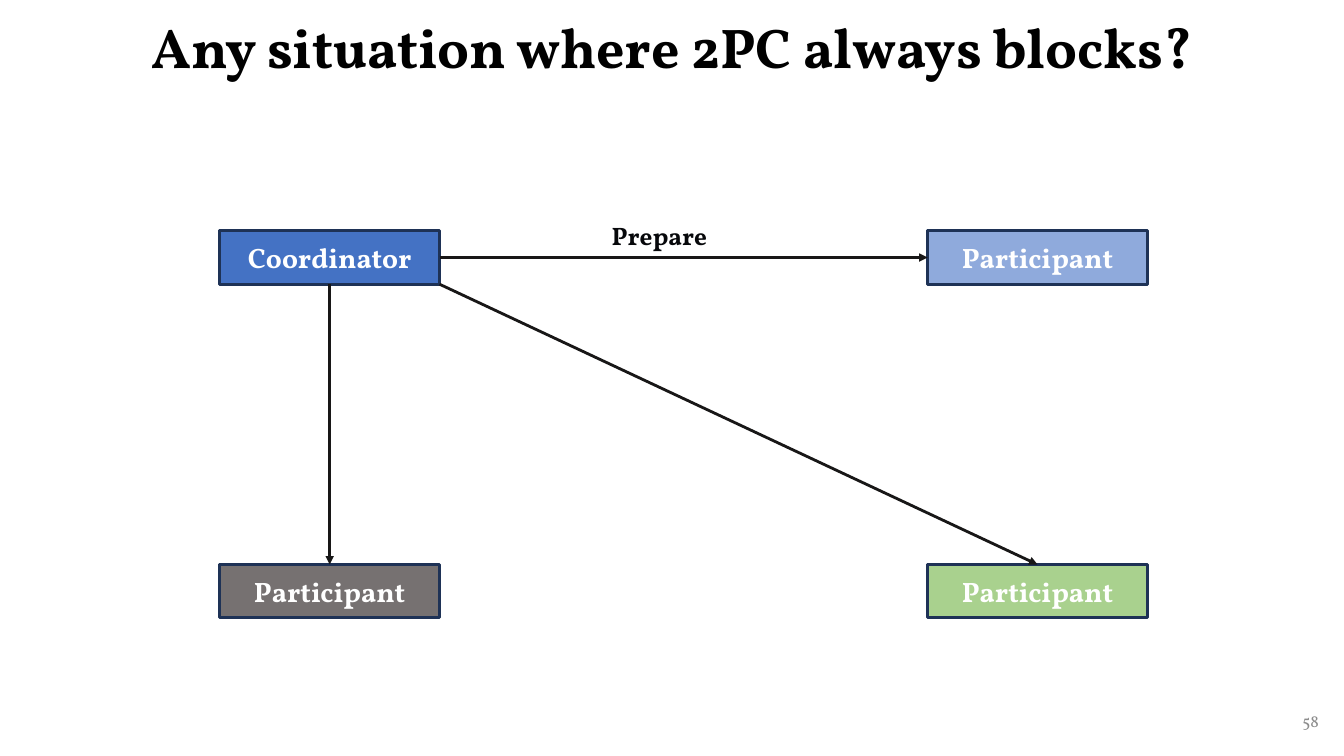
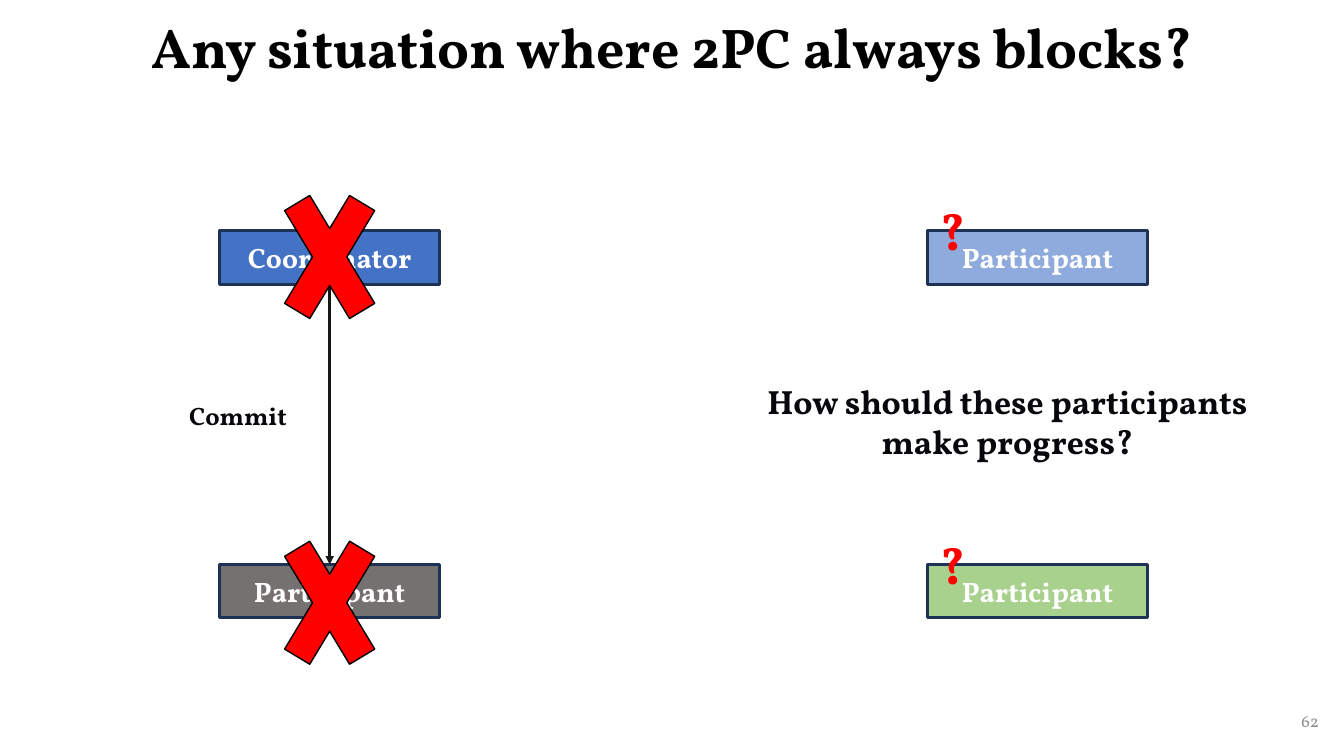
from dataclasses import dataclass
from enum import Enum
from typing import NamedTuple

from lxml.etree import SubElement
from pptx import Presentation
from pptx.dml.color import RGBColor
from pptx.enum.shapes import MSO_CONNECTOR, MSO_SHAPE
from pptx.enum.text import MSO_ANCHOR, MSO_AUTO_SIZE, PP_ALIGN
from pptx.oxml.ns import qn
from pptx.util import Inches, Pt


class TextStyle(NamedTuple):
    size: int
    color: str
    bold: bool = True


@dataclass(frozen=True)
class Theme:
    font: str = "Vollkorn"
    title: TextStyle = TextStyle(40, "000000")
    page_number: TextStyle = TextStyle(12, "8C8C8C", bold=False)
    node: TextStyle = TextStyle(20, "FFFFFF")
    message: TextStyle = TextStyle(18, "07080B")
    question: TextStyle = TextStyle(24, "07080B")
    doubt: TextStyle = TextStyle(36, "FF0000")
    node_border: str = "1E3256"
    arrow: str = "181717"
    failure: str = "FF0000"
    failure_border: str = "000000"
    line_width: int = 2


class Box(NamedTuple):
    left: float
    top: float
    width: float
    height: float

    def emu(self) -> list[int]:
        return [Inches(length) for length in self]


class Side(Enum):
    """Point on a node, as shares of its width and height."""
    TOP = (0.5, 0)
    LEFT = (0, 0.5)
    BOTTOM = (0.5, 1)
    RIGHT = (1, 0.5)
    BOTTOM_RIGHT = (1, 1)


class Node(NamedTuple):
    text: str
    fill: str
    column: int
    row: int

    def box(self) -> Box:
        return Box(GRID_LEFT + self.column * COLUMN_STEP,
                   GRID_TOP + self.row * ROW_STEP, NODE_WIDTH, NODE_HEIGHT)

    def point(self, side: Side) -> tuple[int, int]:
        box = self.box()
        across, down = side.value
        return (Inches(box.left + across * box.width),
                Inches(box.top + down * box.height))


class Arrow(NamedTuple):
    source: Node
    exit: Side
    target: Node
    entry: Side


class Label(NamedTuple):
    text: str
    box: Box
    style: TextStyle


class Scene(NamedTuple):
    page: int
    arrows: list[Arrow]
    labels: list[Label]
    failures: list[Box]


THEME = Theme()
SLIDE_WIDTH, SLIDE_HEIGHT = 13.33, 7.5
GRID_LEFT, GRID_TOP = 2.18, 2.29
COLUMN_STEP, ROW_STEP = 7.02, 3.31
NODE_WIDTH, NODE_HEIGHT = 2.18, 0.53
LABEL_WIDTH = 2.34
TITLE = "Any situation where 2PC always blocks?"
TITLE_BOX = Box(0.92, 0, 11.5, 0.99)
PAGE_BOX = Box(10.18, 6.95, 3, 0.4)

COORDINATOR = Node("Coordinator", "4472C4", 0, 0)
BLUE = Node("Participant", "8FAADC", 1, 0)
GRAY = Node("Participant", "767171", 0, 1)
GREEN = Node("Participant", "A9D18E", 1, 1)
NODES = [COORDINATOR, BLUE, GRAY, GREEN]

DOWN = Arrow(COORDINATOR, Side.BOTTOM, GRAY, Side.TOP)
DIAGONAL = Arrow(COORDINATOR, Side.BOTTOM_RIGHT, GREEN, Side.TOP)
ACROSS = Arrow(COORDINATOR, Side.RIGHT, BLUE, Side.LEFT)


def doubt_over(node: Node) -> Label:
    box = node.box()
    return Label("?", Box(box.left - 0.93, box.top - 0.35, LABEL_WIDTH, 0.71),
                 THEME.doubt)


SCENES = [
    Scene(58, [DOWN, DIAGONAL, ACROSS],
          [Label("Prepare", Box(5.37, 2.14, LABEL_WIDTH, 0.4), THEME.message)],
          []),
    Scene(62, [DOWN],
          [Label("Commit", Box(1.19, 3.92, LABEL_WIDTH, 0.4), THEME.message),
           doubt_over(BLUE), doubt_over(GREEN),
           Label("How should these participants make progress?",
                 Box(7.45, 3.73, 5.08, 0.91), THEME.question)],
          [Box(2.65, top, 1.24, 2.06) for top in (1.52, 4.95)]),
]


def write(shape, text: str, style: TextStyle, align=PP_ALIGN.CENTER,
          anchor=MSO_ANCHOR.MIDDLE, spacing: float = 1.0) -> None:
    frame = shape.text_frame
    frame.text = text
    paragraph = frame.paragraphs[0]
    font = paragraph.runs[0].font
    formats = {
        frame: {"word_wrap": True, "auto_size": MSO_AUTO_SIZE.NONE,
                "vertical_anchor": anchor},
        paragraph: {"alignment": align, "line_spacing": spacing},
        font: {"name": THEME.font, "size": Pt(style.size), "bold": style.bold},
    }
    for target, values in formats.items():
        for name, value in values.items():
            setattr(target, name, value)
    font.color.rgb = RGBColor.from_string(style.color)


def add_title(slide) -> None:
    title = slide.shapes.title
    title.left, title.top, title.width, title.height = TITLE_BOX.emu()
    write(title, TITLE, THEME.title, spacing=0.9)


def add_page_number(slide, page: int) -> None:
    write(slide.shapes.add_textbox(*PAGE_BOX.emu()), str(page),
          THEME.page_number, align=PP_ALIGN.RIGHT)


def add_figure(slide, kind, box: Box, fill: str, border: str, width: int):
    figure = slide.shapes.add_shape(kind, *box.emu())
    figure.shadow.inherit = False
    figure.fill.solid()
    figure.fill.fore_color.rgb = RGBColor.from_string(fill)
    figure.line.color.rgb = RGBColor.from_string(border)
    figure.line.width = Pt(width)
    return figure


def add_node(slide, node: Node) -> None:
    figure = add_figure(slide, MSO_SHAPE.RECTANGLE, node.box(), node.fill,
                        THEME.node_border, THEME.line_width)
    write(figure, node.text, THEME.node)


def add_arrow(slide, arrow: Arrow) -> None:
    connector = slide.shapes.add_connector(
        MSO_CONNECTOR.STRAIGHT, *arrow.source.point(arrow.exit),
        *arrow.target.point(arrow.entry))
    connector.line.color.rgb = RGBColor.from_string(THEME.arrow)
    connector.line.width = Pt(THEME.line_width)
    properties = connector.line._get_or_add_ln()
    SubElement(properties, qn("a:tailEnd"), type="triangle")
    SubElement(properties.getparent(), qn("a:effectLst"))


def add_label(slide, label: Label) -> None:
    write(slide.shapes.add_textbox(*label.box.emu()), label.text, label.style,
          anchor=MSO_ANCHOR.TOP)


def add_scene(deck, scene: Scene) -> None:
    slide = deck.slides.add_slide(deck.slide_layouts.get_by_name("Title Only"))
    add_title(slide)
    add_page_number(slide, scene.page)
    for node in NODES:
        add_node(slide, node)
    for arrow in scene.arrows:
        add_arrow(slide, arrow)
    for box in scene.failures:
        add_figure(slide, MSO_SHAPE.MATH_MULTIPLY, box, THEME.failure,
                   THEME.failure_border, 1)
    for label in scene.labels:
        add_label(slide, label)


def main() -> None:
    deck = Presentation()
    deck.slide_width = Inches(SLIDE_WIDTH)
    deck.slide_height = Inches(SLIDE_HEIGHT)
    for scene in SCENES:
        add_scene(deck, scene)
    deck.save("out.pptx")


if __name__ == "__main__":
    main()
